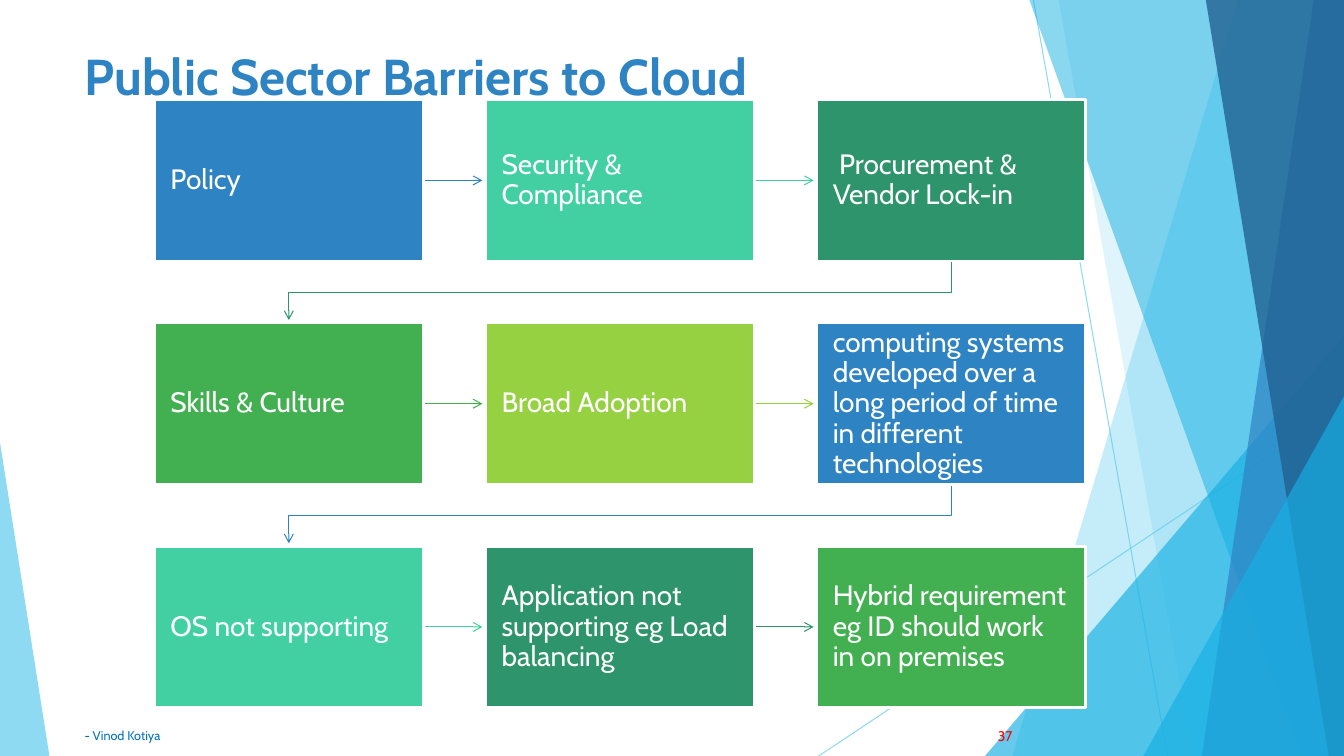
from lxml import etree
from pptx import Presentation
from pptx.dml.color import RGBColor
from pptx.enum.shapes import MSO_CONNECTOR, MSO_SHAPE
from pptx.enum.text import MSO_ANCHOR, PP_ALIGN
from pptx.oxml.ns import qn
from pptx.util import Inches, Pt

RECT, TRI = MSO_SHAPE.RECTANGLE, MSO_SHAPE.ISOSCELES_TRIANGLE
STRAIGHT = MSO_CONNECTOR.STRAIGHT
TOP, MIDDLE = MSO_ANCHOR.TOP, MSO_ANCHOR.MIDDLE
LEFT, RIGHT = PP_ALIGN.LEFT, PP_ALIGN.RIGHT

FONT = "Cabin"
WIDE, HIGH = 13.33, 7.5
SKY, CYAN, BLUE, NAVY = "5FCBEF", "16B0E3", "2E83C3", "226292"

BARRIERS = [
    "Policy",
    "Security & Compliance",
    " Procurement & Vendor Lock-in",
    "Skills & Culture",
    "Broad Adoption",
    "computing systems developed over a long period of time in different technologies",
    "OS not supporting",
    "Application not supporting eg Load balancing",
    "Hybrid requirement eg ID should work in on premises",
]
COLOURS = [BLUE, "42D0A2", "2E946B", "42B051", "96D141"]

# Grid of boxes: first and last corner, box size
COLS, ROWS = 3, 3
X0, X2, Y0, Y2 = 1.53, 8.1, 0.99, 5.42
BOX_W, BOX_H = 2.67, 1.6
TIP = 0.03  # space between an arrow tip and the next box

# Backdrop, back to front
RAYS = [(10.25, 0, 11.58, HIGH), (WIDE, 4.03, 8.12, HIGH)]
# Bands reach the right edge: top x, bottom x, colour, opacity
# Triangles: left, top, width, height, apex, colour, opacity
BACKDROP = [
    (12.28, 10.04, SKY, 36),
    (10.5, 11.83, SKY, 20),
    (9.77, 3.33, 3.56, 4.17, 1, CYAN, 66),
    (10.21, 12.91, CYAN, 50),
    (13.03, 11.92, BLUE, 70),
    (11.96, 13.18, NAVY, 80),
    (11.34, 3.93, 1.99, 3.57, 1, CYAN, 66),
    (0, 4.39, 0.49, 3.11, 0, SKY, 70),
]


def rgb(code):
    return RGBColor.from_string(code)


def fade(fill, pct):
    """Set the opacity of a solid fill element's colour."""
    etree.SubElement(fill[0], qn("a:alpha")).set("val", str(pct * 1000))


def paint(shape, colour, pct=None):
    """Fill a shape flat, with no outline and no shadow."""
    shape.shadow.inherit = False
    shape.fill.solid()
    shape.fill.fore_color.rgb = rgb(colour)
    shape.line.fill.background()
    if pct:
        fade(shape._element.spPr.find(qn("a:solidFill")), pct)


def stroke(shape, colour, width=0.75):
    shape.line.color.rgb = rgb(colour)
    shape.line.width = Pt(width)
    return shape._element.spPr.find(qn("a:ln"))


def path(points, close):
    pts = [(Inches(x), Inches(y)) for x, y in points]
    form = slide.shapes.build_freeform(*pts[0])
    form.add_line_segments(pts[1:], close=close)
    return form.convert_to_shape()


def link(x1, y1, x2, y2, colour):
    """Draw a straight line and return its outline element."""
    line = slide.shapes.add_connector(
        STRAIGHT, Inches(x1), Inches(y1), Inches(x2), Inches(y2))
    ln = stroke(line, colour)
    etree.SubElement(line._element.spPr, qn("a:effectLst"))
    return ln


def arrow(ln):
    etree.SubElement(ln, qn("a:tailEnd")).set("type", "arrow")


def add_box(x, y, w, h):
    return slide.shapes.add_textbox(Inches(x), Inches(y), Inches(w), Inches(h))


def write(shape, text, size, colour, bold=False, align=LEFT, anchor=MIDDLE,
          pad=(0.1, 0.05), space=None):
    frame = shape.text_frame
    frame.word_wrap = True
    frame.vertical_anchor = anchor
    frame.margin_left = frame.margin_right = Inches(pad[0])
    frame.margin_top = frame.margin_bottom = Inches(pad[1])
    para = frame.paragraphs[0]
    para.alignment = align
    if space:
        para.line_spacing = space
    run = para.add_run()
    run.text = text
    run.font.name = FONT
    run.font.size = Pt(size)
    run.font.bold = bold
    run.font.color.rgb = rgb(colour)


def draw_backdrop():
    for ray in RAYS:
        fade(link(*ray, SKY).find(qn("a:solidFill")), 70)
    for *dims, colour, pct in BACKDROP:
        if len(dims) == 2:
            top, low = dims
            shape = path([(top, 0), (WIDE, 0), (WIDE, HIGH), (low, HIGH)], True)
        else:
            *place, apex = dims
            shape = slide.shapes.add_shape(TRI, *map(Inches, place))
            shape.adjustments[0] = apex
        paint(shape, colour, pct)


def draw_flow():
    step_x, step_y = (X2 - X0) / (COLS - 1), (Y2 - Y0) / (ROWS - 1)
    for i, text in enumerate(BARRIERS):
        row, col = divmod(i, COLS)
        x, y = X0 + col * step_x, Y0 + row * step_y
        colour = COLOURS[i % len(COLOURS)]
        if col < COLS - 1:
            mid = y + BOX_H / 2
            arrow(link(x + BOX_W, mid, x + step_x - TIP, mid, colour))
        elif row < ROWS - 1:
            start, end = x + BOX_W / 2, X0 + BOX_W / 2
            low, bend = y + BOX_H, (y + BOX_H + y + step_y) / 2
            elbow = path([(start, low), (start, bend), (end, bend),
                          (end, y + step_y - TIP)], False)
            elbow.shadow.inherit = False
            elbow.fill.background()
            arrow(stroke(elbow, colour))
        box = slide.shapes.add_shape(
            RECT, Inches(x), Inches(y), Inches(BOX_W), Inches(BOX_H))
        paint(box, colour)
        stroke(box, "FFFFFF", 2)
        write(box, text, 20, "FFFFFF", pad=(0.16, 0.16), space=0.9)


deck = Presentation()
deck.slide_width, deck.slide_height = Inches(WIDE), Inches(HIGH)
slide = deck.slides.add_slide(deck.slide_layouts[6])

draw_backdrop()
write(add_box(0.74, 0.4, 9.4, 1.44), "Public Sector Barriers to Cloud",
      36, BLUE, bold=True, anchor=TOP)
write(add_box(0.74, 7.1, 6.89, 0.4), "- Vinod Kotiya", 9, "0070C0")
write(add_box(9.39, 7.1, 0.75, 0.4), "37", 10, "FF0000", align=RIGHT)
draw_flow()

deck.save("out.pptx")
